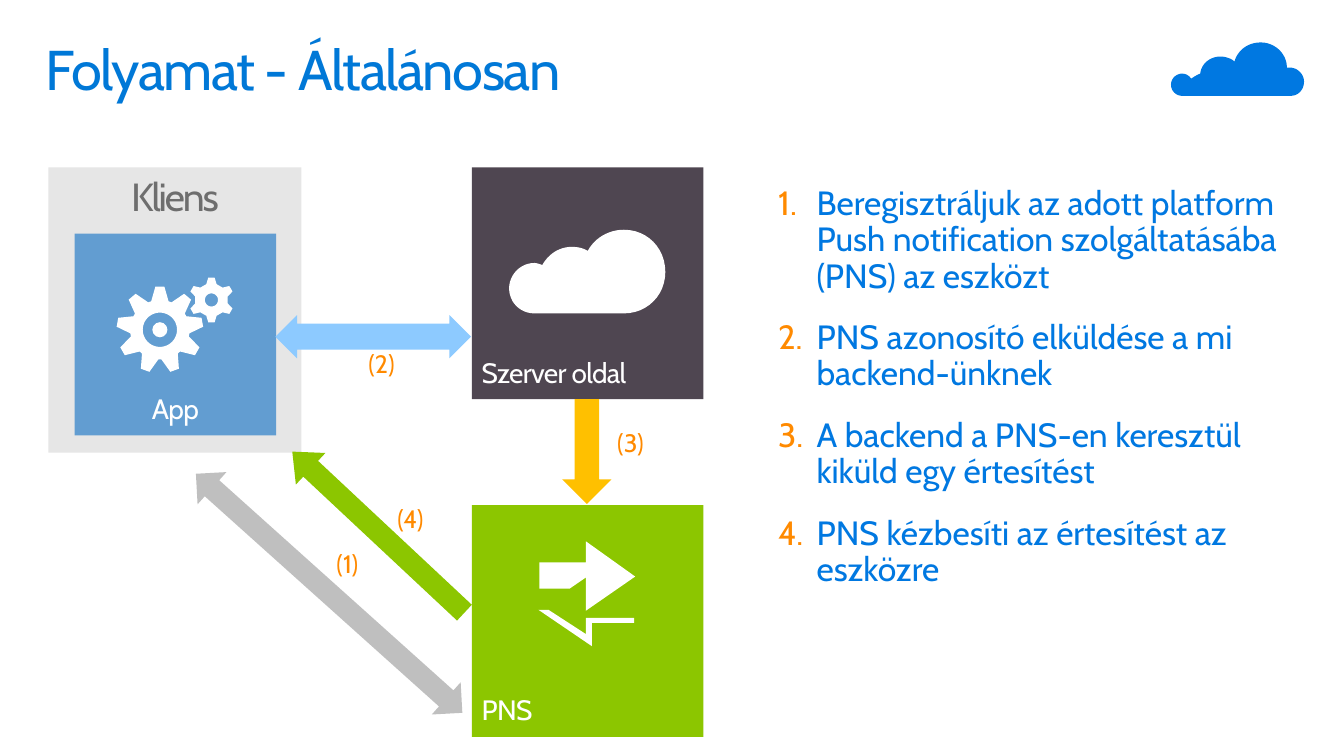
from math import cos, pi, radians, sin

from lxml.etree import SubElement
from pptx import Presentation
from pptx.dml.color import RGBColor
from pptx.enum.shapes import MSO_SHAPE
from pptx.enum.text import MSO_ANCHOR, PP_ALIGN
from pptx.oxml.ns import qn
from pptx.util import Cm, Pt

COLORS = {
    "title": "0078D7", "blue": "0078E1", "orange": "FF8A00", "white": "FFFFFF",
    "client": "E6E6E6", "client_text": "6E6E6E", "app": "629DD1",
    "server": "4F4651", "green": "8CC600", "gray": "BFBFBF",
    "sky": "8DCAFF", "amber": "FFC000",
}
FONT = "Cabin"
ICON_UNIT = Cm(0.0254)  # icon outlines are drawn on this grid
FINE = 100  # subdivisions of the grid, for smooth curves

STEPS = [
    "Beregisztráljuk az adott platform Push notification szolgáltatásába (PNS) az eszközt",
    "PNS azonosító elküldése a mi backend-ünknek",
    "A backend a PNS-en keresztül kiküld egy értesítést",
    "PNS kézbesíti az értesítést az eszközre",
]

# Clouds: a start point, then cubic curves (six numbers) or lines (two)
HEADER_CLOUD = [
    (118, 25), (117, 25, 116, 25, 115, 25), (115, 11, 103, 0, 89, 0),
    (76, 0, 66, 8, 63, 19), (60, 16, 54, 14, 49, 14), (39, 14, 30, 21, 29, 31),
    (26, 32, 23, 34, 20, 36), (18, 33, 15, 31, 11, 31), (5, 31, 0, 36, 0, 42),
    (0, 48, 5, 53, 11, 53), (119, 53), (126, 53, 132, 47, 132, 39),
    (132, 31, 125, 25, 118, 25),
]
SERVER_CLOUD = [
    (114, 0), (99, 0, 85, 8, 78, 21), (73, 18, 68, 17, 62, 17),
    (50, 17, 39, 24, 33, 35), (30, 34, 27, 33, 25, 33), (11, 33, 0, 45, 0, 58),
    (0, 72, 11, 83, 25, 83), (114, 83), (137, 83, 155, 65, 155, 42),
    (155, 18, 137, 0, 114, 0),
]
EXCHANGE_ARROWS = [
    [(96, 35), (47, 0), (47, 21), (1, 21), (1, 47), (31, 47), (47, 36), (47, 69)],
    [(10, 68), (47, 92), (47, 76), (95, 76), (95, 81), (53, 81), (53, 104), (0, 68)],
]


def rgb(name):
    return RGBColor.from_string(COLORS[name])


def paint(shape, color):
    shape.shadow.inherit = False
    shape.fill.solid()
    shape.fill.fore_color.rgb = rgb(color)
    shape.line.fill.background()


def set_frame(shape, insets, anchor=MSO_ANCHOR.TOP):
    frame = shape.text_frame
    frame.word_wrap = True
    frame.vertical_anchor = anchor
    (frame.margin_left, frame.margin_top,
     frame.margin_right, frame.margin_bottom) = map(Cm, insets)
    return frame


def write(paragraph, text, size, color, tracking=0, align=PP_ALIGN.LEFT, spacing=0.9):
    paragraph.alignment = align
    paragraph.line_spacing = spacing
    run = paragraph.add_run()
    run.text = text
    run.font.name = FONT
    run.font.size = Pt(size)
    run.font.color.rgb = rgb(color)
    if tracking:
        run.font._element.set("spc", str(int(tracking * 100)))


def add_block(slide, box, color, preset=MSO_SHAPE.RECTANGLE):
    block = slide.shapes.add_shape(preset, *map(Cm, box))
    paint(block, color)
    return block


def add_outline(slide, left, top, contours, color):
    """Draw closed contours, given on the icon grid, from (left, top)."""
    fine = [[(x * FINE, y * FINE) for x, y in contour] for contour in contours]
    builder = slide.shapes.build_freeform(*fine[0][0], scale=ICON_UNIT / FINE)
    for index, contour in enumerate(fine):
        if index:
            builder.move_to(*contour[0])
        builder.add_line_segments(contour[1:], close=True)
    paint(builder.convert_to_shape(Cm(left), Cm(top)), color)


def trace(segments, steps=12):
    points = [segments[0]]
    for segment in segments[1:]:
        if len(segment) == 2:
            points.append(segment)
            continue
        start = points[-1]
        for t in (step / steps for step in range(1, steps + 1)):
            weights = ((1 - t) ** 3, 3 * t * (1 - t) ** 2, 3 * t * t * (1 - t), t ** 3)
            points.append(tuple(
                sum(w * v for w, v in zip(weights, (start[axis], *segment[axis::2])))
                for axis in (0, 1)))
    return points


def circle(radius, count=48):
    return [(radius * cos(2 * pi * i / count), radius * sin(2 * pi * i / count))
            for i in range(count)]


def gear(teeth, tip, root, hole, tip_angle, root_angle):
    """Contours of a gear centred on (0, 0); angles are half widths of a tooth."""
    corners = ((root, -root_angle), (tip, -tip_angle), (tip, tip_angle), (root, root_angle))
    rim = []
    for tooth in range(teeth):
        for radius, offset in corners:
            angle = radians(tooth * 360 / teeth + offset)
            rim.append((radius * sin(angle), -radius * cos(angle)))
    return [rim, circle(hole)]


def add_header(slide, box):
    left, top = box[:2]
    add_outline(slide, left + 28.77, top + 0.26, [trace(HEADER_CLOUD)], "blue")
    title = slide.shapes.add_textbox(*map(Cm, box))
    frame = set_frame(title, (0.41, 0.25, 0.41, 0.25))
    write(frame.paragraphs[0], "Folyamat - Általánosan", 40, "title", -1)


def add_steps(slide, box):
    frame = set_frame(slide.shapes.add_textbox(*map(Cm, box)), (0, 0, 0, 0))
    for index, step in enumerate(STEPS):
        paragraph = frame.add_paragraph() if index else frame.paragraphs[0]
        write(paragraph, step, 24, "blue")
        paragraph.space_after = Pt(18)
        properties = paragraph._p.get_or_add_pPr()
        properties.set("marL", str(Cm(0.97)))
        properties.set("indent", str(Cm(-0.97)))
        number_color = SubElement(properties, qn("a:buClr"))
        SubElement(number_color, qn("a:srgbClr"), val=COLORS["orange"])
        SubElement(properties, qn("a:buAutoNum"), type="arabicPeriod")


def add_tile(slide, box, color, caption, align=PP_ALIGN.LEFT):
    tile = add_block(slide, box, color)
    frame = set_frame(tile, (0.25,) * 4, MSO_ANCHOR.BOTTOM)
    write(frame.paragraphs[0], caption, 20, "white", -0.5, align)


def add_client(slide, box):
    left, top = box[:2]
    frame = set_frame(add_block(slide, box, "client"), (0.25, 0.13, 0.25, 0.13))
    heading = frame.paragraphs[0]
    write(heading, "Kliens", 28, "client_text", -1.5, PP_ALIGN.CENTER, 1)
    heading.space_before = heading.space_after = Pt(6)
    add_tile(slide, (left + 0.66, top + 1.67, 5.08, 5.08), "app", "App", PP_ALIGN.CENTER)
    # Gears
    hub_x, hub_y = left + 2.81, top + 4.09
    add_outline(slide, hub_x, hub_y, gear(9, 43, 29.5, 17, 6, 17), "white")
    add_block(slide, (hub_x - 0.19, hub_y - 0.19, 0.38, 0.38), "white", MSO_SHAPE.OVAL)
    add_outline(slide, left + 4.11, top + 3.34, gear(6, 22.5, 16.5, 6.5, 8, 18), "white")


def add_server(slide, box):
    left, top = box[:2]
    add_tile(slide, box, "server", "Szerver oldal")
    add_outline(slide, left + 0.94, top + 1.57, [trace(SERVER_CLOUD)], "white")


def add_notifier(slide, box):
    left, top = box[:2]
    add_tile(slide, box, "green", "PNS")
    add_outline(slide, left + 1.68, top + 0.91, EXCHANGE_ARROWS, "white")


def add_flow(slide, box, preset, color, turn, head, label, label_box):
    arrow = add_block(slide, box, color, preset)
    arrow.rotation = turn
    arrow.adjustments[1] = head
    frame = set_frame(slide.shapes.add_textbox(*map(Cm, label_box)),
                      (0.25, 0.13, 0.25, 0.13), MSO_ANCHOR.MIDDLE)
    write(frame.paragraphs[0], label, 18, "orange", align=PP_ALIGN.CENTER, spacing=1)


def add_flows(slide):
    both, down = MSO_SHAPE.UP_DOWN_ARROW, MSO_SHAPE.DOWN_ARROW
    flows = [
        ((7.75, 10.44, 1.09, 9.02), both, "gray", 311.9, 0.5, "(1)", (7.8, 12.34, 1.91, 3.71)),
        ((8.86, 6.02, 1.09, 4.93), both, "sky", 90, 0.6, "(2)", (8.79, 8.76, 1.65, 0.79)),
        ((14.17, 10.06, 1.24, 2.64), down, "amber", 0, 0.5, "(3)", (14.99, 10.64, 1.8, 1.04)),
        ((8.99, 10.44, 1.09, 5.94), down, "green", 133.1, 0.58, "(4)", (9.14, 12.67, 2.41, 0.79)),
    ]
    for flow in flows:
        add_flow(slide, *flow)


def main():
    deck = Presentation()
    deck.slide_width, deck.slide_height = Cm(33.87), Cm(19.05)
    slide = deck.slides.add_slide(deck.slide_layouts[6])
    add_header(slide, (0.74, 0.81, 32.39, 2.49))
    add_steps(slide, (19.61, 4.7, 12.75, 11.56))
    add_client(slide, (1.22, 4.22, 6.38, 7.19))
    add_server(slide, (11.89, 4.22, 5.84, 5.84))
    add_notifier(slide, (11.89, 12.73, 5.84, 5.84))
    add_flows(slide)
    deck.save("out.pptx")


if __name__ == "__main__":
    main()
